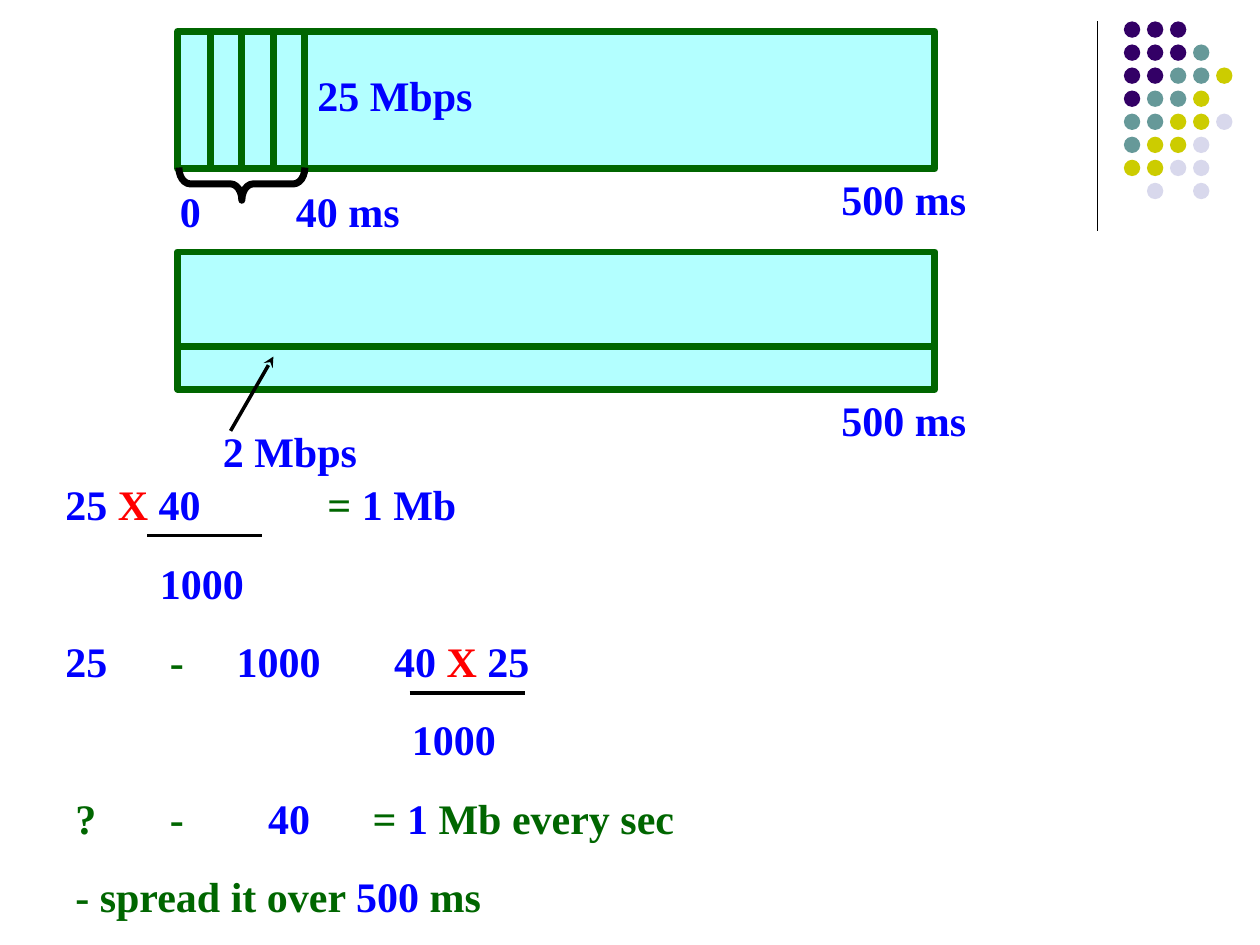
import math
from dataclasses import dataclass

from lxml import etree
from pptx import Presentation
from pptx import util as u
from pptx.dml.color import RGBColor
from pptx.enum import shapes, text
from pptx.oxml import ns


@dataclass(frozen=True)
class Theme:
    font: str = "Times New Roman"
    size: int = 24
    gap: int = 16
    blue: str = "0000FF"
    red: str = "FF0000"
    green: str = "006600"
    black: str = "000000"
    band: str = "B3FFFF"
    purple: str = "330066"
    teal: str = "669999"
    olive: str = "CCCC00"
    lilac: str = "D8D8EC"
    heavy: float = 4
    medium: float = 2
    thin: float = 0.75


class SlideBuilder:
    def __init__(self, slide, theme):
        self.slide = slide
        self.theme = theme

    def outline(self, shape, color, width):
        shape.line.color.rgb = RGBColor.from_string(color)
        shape.line.width = u.Pt(width)

    def band(self, left, top, width, height):
        shape = self.slide.shapes.add_shape(
            shapes.MSO_SHAPE.RECTANGLE, *map(u.Inches, (left, top, width, height)))
        shape.shadow.inherit = False
        shape.fill.solid()
        shape.fill.fore_color.rgb = RGBColor.from_string(self.theme.band)
        self.outline(shape, self.theme.green, self.theme.heavy)

    def line(self, start, end, color, width, arrow=False):
        connector = self.slide.shapes.add_connector(
            shapes.MSO_CONNECTOR.STRAIGHT, *map(u.Inches, (*start, *end)))
        self.outline(connector, color, width)
        if arrow:
            properties = connector.line._get_or_add_ln()
            etree.SubElement(properties, ns.qn("a:tailEnd"), type="stealth")
        etree.SubElement(connector._element.spPr, ns.qn("a:effectLst"))

    def dots(self, left, top, pitch, size, rows, colors):
        group = self.slide.shapes.add_group_shape()
        for row, pattern in enumerate(rows):
            for column, key in enumerate(pattern):
                if key not in colors:
                    continue
                dot = group.shapes.add_shape(
                    shapes.MSO_SHAPE.OVAL,
                    u.Inches(left + column * pitch), u.Inches(top + row * pitch),
                    u.Inches(size), u.Inches(size))
                dot.shadow.inherit = False
                dot.fill.solid()
                dot.fill.fore_color.rgb = RGBColor.from_string(colors[key])
                dot.line.fill.background()

    def brace(self, left, top, width, height):
        middle, radius, half = left + width / 2, 0.09, height / 2
        angles = [math.radians(15 * step) for step in range(7)]
        outer = [(left + width - radius + radius * math.cos(a),
                  top + half * math.sin(a)) for a in angles]
        inner = [(middle + radius - radius * math.sin(a),
                  top + height - half * math.cos(a)) for a in angles]
        right = outer + inner
        points = right + [(2 * middle - x, y) for x, y in reversed(right[:-1])]
        points = [(u.Inches(x), u.Inches(y)) for x, y in points]
        builder = self.slide.shapes.build_freeform(*points[0])
        builder.add_line_segments(points[1:], close=False)
        shape = builder.convert_to_shape()
        shape.shadow.inherit = False
        shape.fill.background()
        self.outline(shape, self.theme.black, self.theme.heavy)

    def text_box(self, left, top, width, height, rows):
        box = self.slide.shapes.add_textbox(
            *map(u.Inches, (left, top, width, height)))
        frame = box.text_frame
        frame.word_wrap = True
        frame.auto_size = text.MSO_AUTO_SIZE.SHAPE_TO_FIT_TEXT
        for index, (stops, pieces) in enumerate(rows):
            paragraph = frame.add_paragraph() if index else frame.paragraphs[0]
            if stops:
                properties = paragraph._p.get_or_add_pPr()
                tabs = etree.SubElement(properties, ns.qn("a:tabLst"))
                for stop in stops:
                    etree.SubElement(tabs, ns.qn("a:tab"),
                                     pos=str(u.Inches(stop)), algn="l")
            paragraph.space_before = u.Pt(self.theme.gap if index else 0)
            for words, color in pieces:
                run = paragraph.add_run()
                run.text = words
                run.font.name = self.theme.font
                run.font.size = u.Pt(self.theme.size)
                run.font.bold = True
                run.font.color.rgb = RGBColor.from_string(color)

    def label(self, words, left, top, width):
        self.text_box(left, top, width, 0.5, [([], [(words, self.theme.blue)])])


def main():
    theme = Theme()
    blue, red, green = theme.blue, theme.red, theme.green
    presentation = Presentation()
    presentation.slide_width = u.Inches(10)
    presentation.slide_height = u.Inches(7.5)
    slide = presentation.slides.add_slide(presentation.slide_layouts[6])
    builder = SlideBuilder(slide, theme)

    builder.line((8.71, 0.17), (8.71, 1.83), theme.black, theme.thin)
    builder.dots(
        8.92, 0.17, 0.183, 0.13,
        ["PPP", "PPPT", "PPTTY", "PTTY", "TTYYL", "TYYL", "YYLL", ".L.L"],
        {"P": theme.purple, "T": theme.teal, "Y": theme.olive, "L": theme.lilac})

    band_left, band_width, band_height = 1.41, 6.01, 1.09
    builder.band(band_left, 0.25, band_width, band_height)
    for slot in range(1, 5):
        x = 1.42 + slot * 0.25
        builder.line((x, 0.25), (x, 1.33), green, theme.heavy)
    builder.label("0", 1.33, 1.42, 0.67)
    builder.label("40 ms", 2.25, 1.42, 1.17)
    builder.label("25 Mbps", 2.42, 0.5, 1.83)
    builder.label("500 ms", 6.58, 1.33, 1.58)
    builder.brace(1.42, 1.33, 1, 0.26)

    builder.band(band_left, 2, band_width, band_height)
    builder.line((1.42, 2.75), (7.42, 2.75), green, theme.heavy)
    builder.line((1.83, 3.42), (2.17, 2.83), theme.black, theme.medium, arrow=True)
    builder.label("2 Mbps", 1.67, 3.33, 1.83)
    builder.label("500 ms", 6.58, 3.08, 1.83)

    builder.text_box(0, 3.75, 10, 3.54, [
        ([0.42, 2.5], [("\t25 ", blue), ("X", red), (" 40", blue),
                       ("\t= ", green), ("1 Mb", blue)]),
        ([1.17], [("\t1000", blue)]),
        ([0.42, 1.25, 1.78, 3.03], [("\t25", blue), ("\t-", green),
                                    ("\t1000\t40 ", blue), ("X ", red), ("25", blue)]),
        ([3.17], [("\t1000", blue)]),
        ([0.5, 1.25, 2.03, 2.86], [("\t?\t-", green), ("\t40", blue), ("\t= ", green),
                                   ("1 ", blue), ("Mb every sec", green)]),
        ([0.5], [("\t- spread it over ", green), ("500", blue), (" ms", green)]),
    ])
    for left, right, y in [(1.17, 2.08, 4.25), (3.25, 4.17, 5.5)]:
        builder.line((left, y), (right, y), theme.black, theme.medium)

    presentation.save("out.pptx")


if __name__ == "__main__":
    main()
